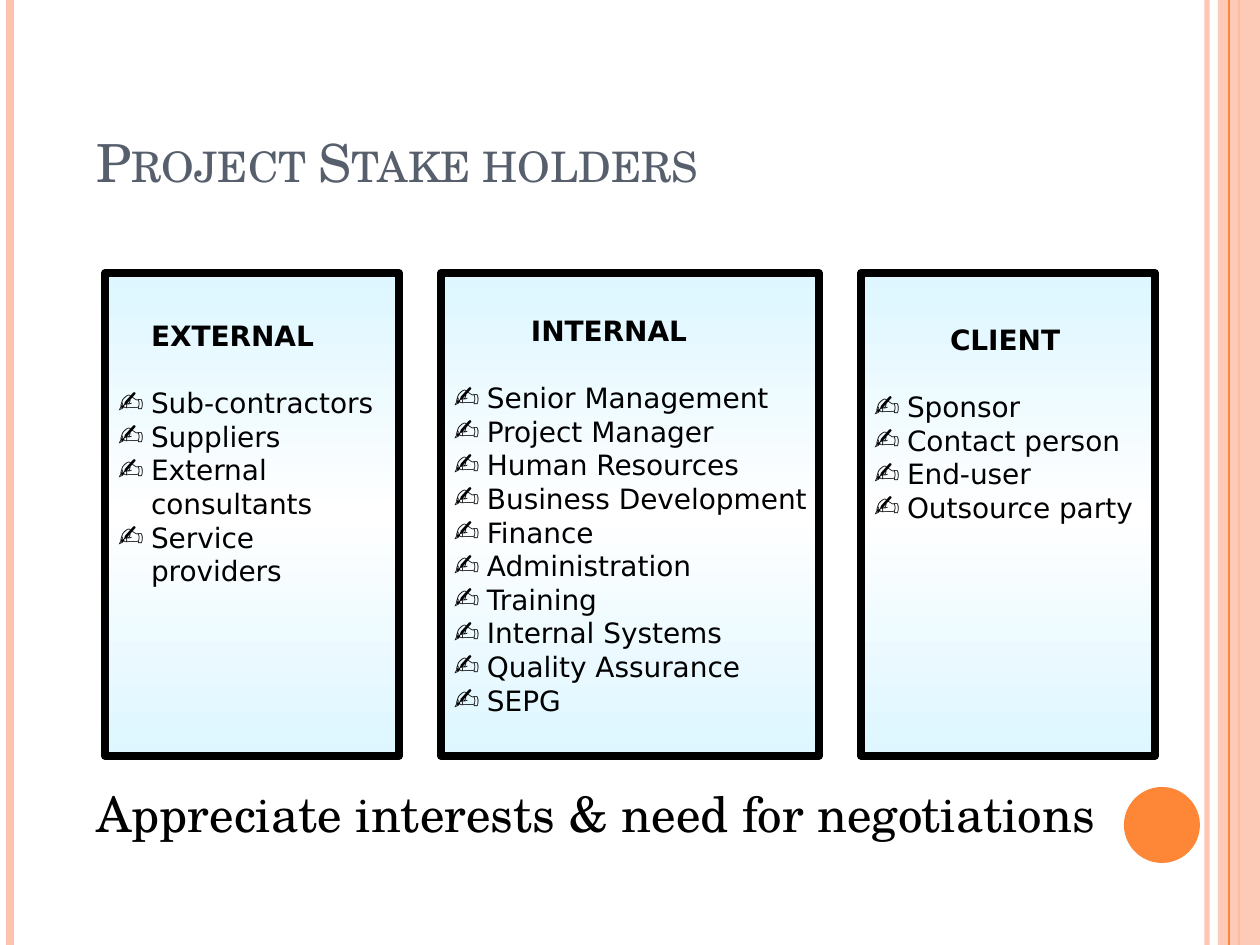
"""Build the project stakeholders slide with three stakeholder panels."""
from copy import deepcopy

from pptx import Presentation
from pptx.dml.color import RGBColor
from pptx.enum.shapes import MSO_CONNECTOR, MSO_SHAPE
from pptx.enum.text import MSO_ANCHOR, MSO_AUTO_SIZE, PP_ALIGN
from pptx.oxml.ns import qn
from pptx.oxml.xmlchemy import OxmlElement
from pptx.util import Pt

PX = 7257.14
WIDTH, HEIGHT = 1260, 945
ORANGE = RGBColor(0xFE, 0x86, 0x37)
PEACH = RGBColor(0xFE, 0xC3, 0xAE)
SLATE = RGBColor(0x57, 0x5F, 0x6D)
BLACK = RGBColor(0, 0, 0)
WHITE = RGBColor(0xFF, 0xFF, 0xFF)
ICE = RGBColor(0xDD, 0xF6, 0xFF)
SERIF, SANS = "TeX Gyre Schola", "DejaVu Sans"

TITLE = "Project Stake holders"
CLOSING = "Appreciate interests & need for negotiations"
PANELS = [
    {"heading": "EXTERNAL", "width": 294, "top_inset": 46, "indent": 33,
     "items": ["Sub-contractors", "Suppliers", "External\nconsultants", "Service\nproviders"]},
    {"heading": "INTERNAL", "width": 378, "top_inset": 41, "indent": 77,
     "items": ["Senior Management", "Project Manager", "Human Resources",
               "Business Development", "Finance", "Administration", "Training",
               "Internal Systems", "Quality Assurance", "SEPG"]},
    {"heading": "CLIENT", "width": 294, "top_inset": 50, "indent": 76,
     "items": ["Sponsor", "Contact person", "End-user", "Outsource party"]},
]
PANEL_LEFT, PANEL_TOP, PANEL_HEIGHT, PANEL_GAP = 105, 273, 483, 42
HANGING = 33


def px(value):
    return round(value * PX)


def box(*lengths):
    return [px(length) for length in lengths]


def add_element(parent, tag, **attributes):
    element = OxmlElement(tag)
    for name, value in attributes.items():
        element.set(name, str(value))
    parent.append(element)
    return element


def set_alpha(shape, percent):
    color = next(shape._element.spPr.iter(qn("a:srgbClr")))
    add_element(color, "a:alpha", val=percent * 1000)


def add_stripe(slide, x, color, weight, alpha=100):
    line = slide.shapes.add_connector(MSO_CONNECTOR.STRAIGHT, *box(x, 0, x, HEIGHT))
    line.line.color.rgb = color
    line.line.width = Pt(weight)
    add_element(line._element.spPr, "a:effectLst")
    if alpha < 100:
        set_alpha(line, alpha)


def add_plain_shape(slide, kind, bounds, color):
    shape = slide.shapes.add_shape(kind, *box(*bounds))
    shape.shadow.inherit = False
    shape.fill.solid()
    shape.fill.fore_color.rgb = color
    shape.line.fill.background()
    return shape


def add_text(paragraph, text, font_name, size, color, bold=False):
    for index, part in enumerate(text.split("\n")):
        if index:
            paragraph.add_line_break()
        run = paragraph.add_run()
        run.text = part
        run.font.name = font_name
        run.font.size = Pt(size)
        run.font.color.rgb = color
        run.font.bold = bold
    return run


def set_bullet(paragraph):
    properties = paragraph._p.get_or_add_pPr()
    properties.set("marL", str(px(HANGING)))
    properties.set("indent", str(-px(HANGING)))
    add_element(properties, "a:buSzPct", val=110000)
    add_element(properties, "a:buFont", typeface=SANS)
    add_element(properties, "a:buChar", char="✍")


def fill_gradient(shape):
    shape.fill.gradient()
    shape.fill.gradient_angle = 90
    stop_list = next(shape._element.spPr.iter(qn("a:gsLst")))
    stop_list.insert(1, deepcopy(stop_list[0]))
    stops = zip(shape.fill.gradient_stops, (0, 0.5, 1), (ICE, WHITE, ICE))
    for stop, position, color in stops:
        stop.position = position
        stop.color.rgb = color


def add_panel(slide, left, panel):
    bounds = box(left, PANEL_TOP, panel["width"], PANEL_HEIGHT)
    shape = slide.shapes.add_shape(MSO_SHAPE.RECTANGLE, *bounds)
    shape.shadow.inherit = False
    fill_gradient(shape)
    shape.line.color.rgb = BLACK
    shape.line.width = Pt(4.5)
    frame = shape.text_frame
    frame.word_wrap = True
    frame.vertical_anchor = MSO_ANCHOR.TOP
    frame.margin_left, frame.margin_right = px(13), px(4)
    frame.margin_top = px(panel["top_inset"])
    heading = frame.paragraphs[0]
    heading.alignment = PP_ALIGN.LEFT
    heading.space_after = Pt(19)
    heading._p.get_or_add_pPr().set("marL", str(px(panel["indent"])))
    add_text(heading, panel["heading"], SANS, 16, BLACK, bold=True)
    for item in panel["items"]:
        paragraph = frame.add_paragraph()
        paragraph.alignment = PP_ALIGN.LEFT
        set_bullet(paragraph)
        add_text(paragraph, item, SANS, 16, BLACK)


def add_title(slide):
    title = slide.shapes.title
    title.left, title.top, title.width, title.height = box(84, 63, 1081, 136)
    frame = title.text_frame
    frame.auto_size = MSO_AUTO_SIZE.NONE
    frame.vertical_anchor = MSO_ANCHOR.BOTTOM
    paragraph = frame.paragraphs[0]
    paragraph.alignment = PP_ALIGN.LEFT
    run = add_text(paragraph, TITLE, SERIF, 30, SLATE)
    run.font._element.set("cap", "small")


def add_closing(slide):
    frame = slide.shapes.add_textbox(*box(84, 777, 1061, 72)).text_frame
    frame.word_wrap = True
    add_text(frame.paragraphs[0], CLOSING, SERIF, 28, BLACK)


def main():
    presentation = Presentation()
    presentation.slide_width, presentation.slide_height = box(WIDTH, HEIGHT)
    slide = presentation.slides.add_slide(presentation.slide_layouts[5])
    add_stripe(slide, 1207, PEACH, 3, alpha=93)
    add_stripe(slide, 10, PEACH, 4.5)
    add_stripe(slide, 1239, ORANGE, 1.5)
    band = add_plain_shape(slide, MSO_SHAPE.RECTANGLE, (1218, 0, 42, HEIGHT), PEACH)
    set_alpha(band, 87)
    add_stripe(slide, 1229, ORANGE, 0.75)
    add_plain_shape(slide, MSO_SHAPE.OVAL, (1124, 787, 76, 76), ORANGE)
    add_title(slide)
    left = PANEL_LEFT
    for panel in PANELS:
        add_panel(slide, left, panel)
        left += panel["width"] + PANEL_GAP
    add_closing(slide)
    presentation.save("out.pptx")


if __name__ == "__main__":
    main()
